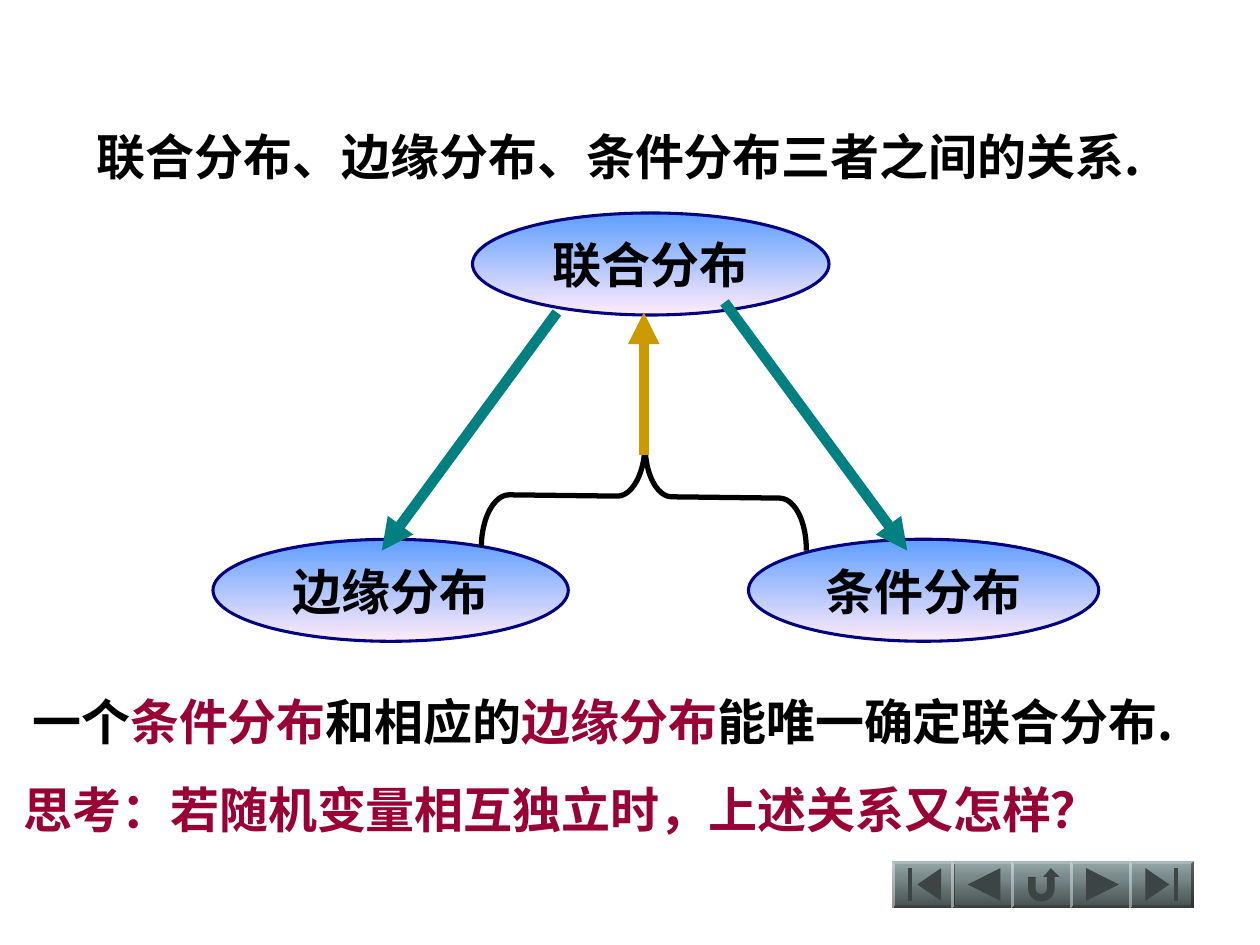
from math import cos, pi, sin

from lxml import etree
from pptx import Presentation
from pptx.dml.color import RGBColor
from pptx.enum.shapes import MSO_CONNECTOR, MSO_SHAPE
from pptx.enum.text import MSO_ANCHOR, PP_ALIGN
from pptx.oxml.ns import qn
from pptx.util import Inches, Pt

BLACK = RGBColor(0x00, 0x00, 0x00)
CRIMSON = RGBColor(0x99, 0x00, 0x33)
NAVY = RGBColor(0x00, 0x00, 0x80)
TEAL = RGBColor(0x00, 0x80, 0x80)
GOLD = RGBColor(0xCC, 0x99, 0x00)
SKY = RGBColor(0x5E, 0x9E, 0xFF)
BLUSH = RGBColor(0xFF, 0xEB, 0xFA)
STONE = RGBColor(0x96, 0xA9, 0xA9)
SLATE = RGBColor(0x45, 0x4E, 0x4E)
ICON = RGBColor(0x3C, 0x44, 0x44)

CJK_FONT = "Noto Sans CJK SC"
LATIN_FONT = "Times New Roman"


class SlideBuilder:
    """Hold the text style and the current slide."""

    def __init__(self, page):
        """Remember the page and the shared formats."""
        self.page = page
        self.font_format = {"size": Pt(28), "bold": True}
        self.para_format = {"space_before": Pt(17.5), "line_spacing": Pt(34)}

    def add_spans(self, frame, spans, font_name, align=PP_ALIGN.LEFT):
        """Put coloured spans into one paragraph."""
        frame.word_wrap = True
        para = frame.paragraphs[0]
        for name, value in {**self.para_format, "alignment": align}.items():
            setattr(para, name, value)
        for text, colour in spans:
            span = para.add_run()
            span.text = text
            for name, value in {**self.font_format, "name": font_name}.items():
                setattr(span.font, name, value)
            span.font.color.rgb = colour
            east_asian = etree.SubElement(span.font._element, qn("a:ea"))
            east_asian.set("typeface", CJK_FONT)

    def text(self, left, top, width, height, spans):
        """Add a wrapped text box."""
        box = self.page.shapes.add_textbox(
            Inches(left), Inches(top), Inches(width), Inches(height))
        box.text_frame.margin_top = Inches(0.09)
        self.add_spans(box.text_frame, spans, CJK_FONT)

    def shape(self, kind, left, top, width, height):
        """Add a preset shape without shadow."""
        shape = self.page.shapes.add_shape(
            kind, Inches(left), Inches(top), Inches(width), Inches(height))
        shape.shadow.inherit = False
        return shape

    def shade(self, shape, top_colour, bottom_colour):
        """Fill a shape with a gradient from top to bottom."""
        shape.fill.gradient()
        shape.fill.gradient_angle = 270
        for stop, colour, position in zip(
                shape.fill.gradient_stops, (top_colour, bottom_colour), (0, 1)):
            stop.color.rgb = colour
            stop.position = position

    def ellipse(self, left, top, width, label):
        """Add a labelled ellipse."""
        ellipse = self.shape(MSO_SHAPE.OVAL, left, top, width, 0.81)
        self.shade(ellipse, SKY, BLUSH)
        ellipse.line.color.rgb = NAVY
        ellipse.line.width = Pt(1.75)
        ellipse.text_frame.vertical_anchor = MSO_ANCHOR.MIDDLE
        self.add_spans(ellipse.text_frame, [(label, BLACK)], LATIN_FONT, PP_ALIGN.CENTER)

    def brace(self, left, top, width, height, rotation):
        """Add a rotated curly brace."""
        brace = self.shape(MSO_SHAPE.RIGHT_BRACE, left, top, width, height)
        brace.adjustments[0] = 0.26
        brace.rotation = rotation
        brace.fill.background()
        brace.line.color.rgb = BLACK
        brace.line.width = Pt(3)

    def arrow(self, start, end, colour):
        """Add a thick arrow between two points."""
        arrow = self.page.shapes.add_connector(
            MSO_CONNECTOR.STRAIGHT, *map(Inches, (*start, *end)))
        arrow.line.color.rgb = colour
        arrow.line.width = Pt(6)
        head = etree.SubElement(arrow.line._get_or_add_ln(), qn("a:tailEnd"))
        head.set("type", "triangle")
        etree.SubElement(arrow._element.spPr, qn("a:effectLst"))

    def polygon(self, centre, points):
        """Add a dark outline given around a centre."""
        corners = [(Inches(centre[0] + x), Inches(centre[1] + y)) for x, y in points]
        builder = self.page.shapes.build_freeform(*corners[0])
        builder.add_line_segments(corners[1:], close=True)
        icon = builder.convert_to_shape()
        icon.shadow.inherit = False
        icon.fill.solid()
        icon.fill.fore_color.rgb = ICON
        icon.line.fill.background()

    def button(self, left, top, outlines):
        """Add a bevelled button with its icon."""
        width, height = 0.52, 0.38
        button = self.shape(MSO_SHAPE.BEVEL, left, top, width, height)
        button.adjustments[0] = 0.07
        self.shade(button, STONE, SLATE)
        button.line.fill.background()
        for points in outlines:
            self.polygon((left + width / 2, top + height / 2), points)


def mirror(points):
    """Flip points from left to right."""
    return [(-x, y) for x, y in points]


def bend(radius_x, radius_y, direction):
    """Return the half circle at the foot of the return arrow."""
    steps = 12
    return [(-0.015 - direction * radius_x * cos(pi * step / steps),
             0.035 + radius_y * sin(pi * step / steps)) for step in range(steps + 1)]


deck = Presentation()
deck.slide_width, deck.slide_height = Inches(10), Inches(7.5)
builder = SlideBuilder(deck.slides.add_slide(deck.slide_layouts[6]))

for left, top, width, label in (
        (3.75, 1.69, 2.83, "联合分布"),
        (1.69, 4.28, 2.82, "边缘分布"),
        (5.94, 4.28, 2.78, "条件分布")):
    builder.ellipse(left, top, width, label)

builder.brace(4.7, 2.65, 0.83, 2.58, 270.7)
for start, end, colour in (
        ((5.11, 3.61), (5.11, 2.48), GOLD),
        ((4.42, 2.48), (3.03, 4.37), TEAL),
        ((5.75, 2.4), (7.2, 4.37), TEAL)):
    builder.arrow(start, end, colour)

builder.text(0.07, 5.39, 9.93, 0.57, [
    (" 一个", BLACK), ("条件分布", CRIMSON), ("和相应的", BLACK),
    ("边缘分布", CRIMSON), ("能唯一确定联合分布.", BLACK)])
builder.text(0.67, 0.91, 8.5, 1.04, [
    ("联合分布、边缘分布、条件分布三者之间的关系.", BLACK)])

previous = [(-0.13, 0), (0.13, -0.13), (0.13, 0.13)]
first = [(-0.06, 0), (0.13, -0.13), (0.13, 0.13)]
bar = [(-0.13, -0.13), (-0.1, -0.13), (-0.1, 0.13), (-0.13, 0.13)]
turn = [(-0.12, -0.06), (-0.06, -0.06), *bend(0.045, 0.04, 1),
        (0.03, -0.06), (0, -0.06), (0.06, -0.13), (0.13, -0.06),
        (0.09, -0.06), *bend(0.105, 0.1, -1)]
icons = ([first, bar], [previous], [turn], [mirror(previous)],
         [mirror(first), mirror(bar)])
for index, outlines in enumerate(icons):
    builder.button(7.08 + 0.47 * index, 6.83, outlines)

builder.text(0, 6.09, 9.93, 0.57, [
    (" 思考：若随机变量相互独立时，上述关系又怎样？", CRIMSON)])

deck.save("out.pptx")
